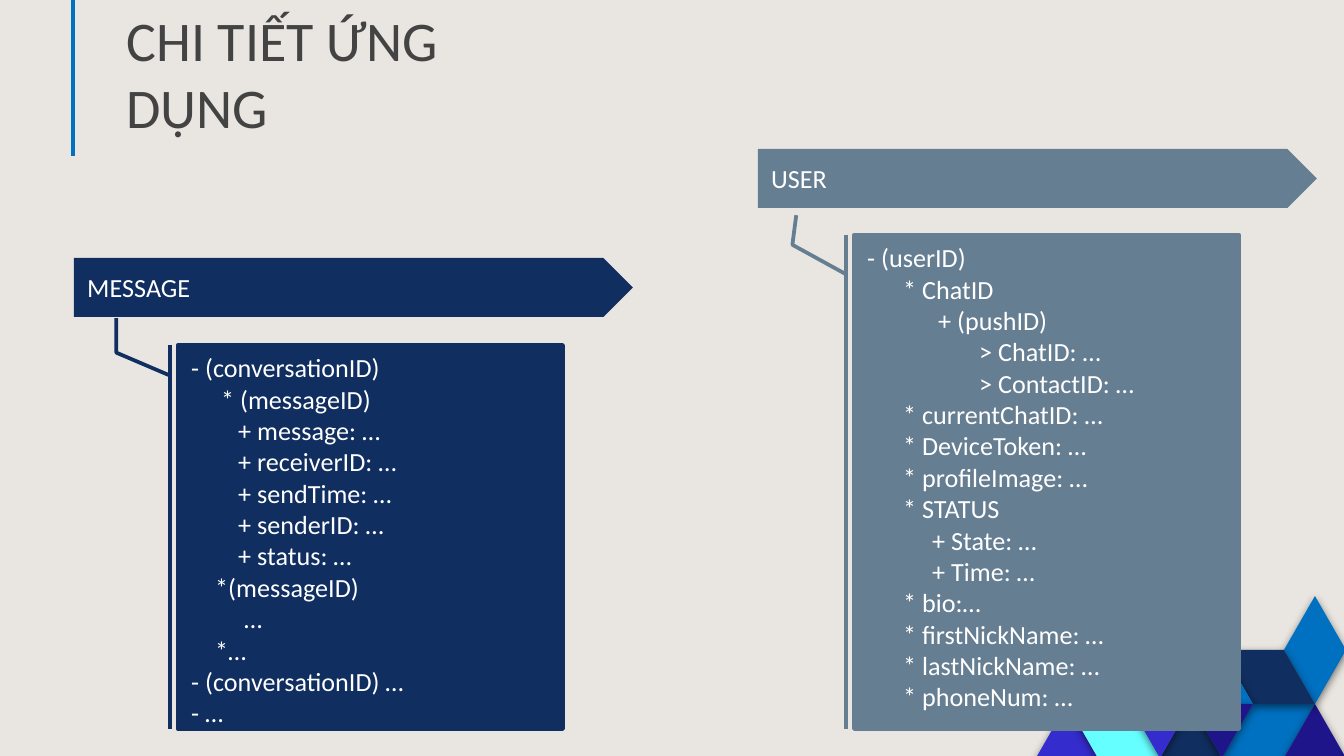
"""Build the application detail slide with its MESSAGE and USER data trees."""
from lxml import etree
from pptx import Presentation
from pptx import util as u
from pptx.dml import color
from pptx.enum import shapes, text
from pptx.oxml import ns

PX = 9144000 / 1344
FONT = "Calibri"
COLORS = {
    "paper": "E9E6E1", "title": "434343", "white": "FFFFFF", "shadow": "000000",
    "navy": "102E5F", "slate": "667E92", "blue": "0070C0",
    "violet": "352CCD", "aqua": "66FFFF", "indigo": "1F158A",
}
TITLE = "CHI TIẾT ỨNG DỤNG"

MESSAGE = [
    (0, "- (conversationID)"), (30, "* (messageID)"),
    (47, "+ message: …"), (47, "+ receiverID: …"), (47, "+ sendTime: …"),
    (47, "+ senderID: …"), (47, "+ status: …"),
    (24, "*(messageID)"), (53, "…"), (24, "*…"),
    (0, "- (conversationID) …"), (0, "- …"),
]
USER = [
    (0, "- (userID)"), (36, "* ChatID"), (71, "+ (pushID)"),
    (112, "> ChatID: …"), (112, "> ContactID: …"),
    (36, "* currentChatID: …"), (36, "* DeviceToken: …"),
    (36, "* profileImage: …"), (36, "* STATUS"),
    (65, "+ State: …"), (65, "+ Time: …"), (36, "* bio:…"),
    (36, "* firstNickName: …"), (36, "* lastNickName: …"), (36, "* phoneNum: …"),
]
PANELS = [
    ("MESSAGE", "navy", (74, 258), (178, 345, 385, 384),
     (0.08, -0.02, 0.02, -0.16, -0.07, -0.16), MESSAGE),
    ("USER", "slate", (758, 149), (854, 235, 385, 494),
     (0.08, -0.02, 0.02, -0.16, -0.04, -0.15), USER),
]
MOSAIC = [
    ("violet", [(0, 3), (1, 2), (2, 3)]),
    ("aqua", [(1, 2), (3, 2), (4, 3), (2, 3)]),
    ("blue", [(6, 3), (7, 2), (9, 2), (8, 3)]),
    ("indigo", [(8, 3), (9, 2), (10, 3)]),
    ("navy", [(4, 3), (5, 2), (6, 3)]),
    ("blue", [(8, 1), (9, 0), (10, 1), (9, 2)]),
    ("navy", [(6, 1), (8, 1), (9, 2), (7, 2)]),
    ("blue", [(5, 2), (6, 1), (7, 2)]),
    ("indigo", [(5, 2), (7, 2), (6, 3)]),
    ("violet", [(3, 2), (5, 2), (4, 3)]),
]


def px(*values):
    return [round(value * PX) for value in values]


def rgb(name):
    return color.RGBColor.from_string(COLORS[name])


def paint(shape, name):
    shape.shadow.inherit = False
    shape.fill.solid()
    shape.fill.fore_color.rgb = rgb(name)
    shape.line.fill.background()


def write(shape, lines, size, ink, anchor, inset):
    frame = shape.text_frame
    frame.word_wrap = True
    frame.auto_size = text.MSO_AUTO_SIZE.NONE
    frame.vertical_anchor = anchor
    frame.margin_left = frame.margin_right = u.Inches(0.1)
    frame.margin_top = frame.margin_bottom = u.Inches(inset)
    for index, (indent, words) in enumerate(lines):
        para = frame.add_paragraph() if index else frame.paragraphs[0]
        para.alignment = text.PP_ALIGN.LEFT
        para.line_spacing = 1.0
        para.space_before = u.Pt(0)
        para._p.get_or_add_pPr().set("marL", str(px(indent)[0]))
        span = para.add_run()
        span.text = words
        span.font.size = u.Pt(size)
        span.font.name = FONT
        span.font.color.rgb = rgb(ink)


def add_tile(page, name, corners):
    points = [(1036 + 31 * column, 596 + 54 * row) for column, row in corners]
    builder = page.shapes.build_freeform(*points[0], scale=PX)
    builder.add_line_segments(points[1:], close=True)
    tile = builder.convert_to_shape()
    paint(tile, name)
    effects = tile._element.spPr.find(ns.qn("a:effectLst"))
    shadow = etree.SubElement(effects, ns.qn("a:outerShdw"), blurRad=str(u.Pt(4.5)),
                              dist=str(u.Pt(1.5)), dir="5400000", rotWithShape="0")
    tint = etree.SubElement(shadow, ns.qn("a:srgbClr"), val=COLORS["shadow"])
    etree.SubElement(tint, ns.qn("a:alpha"), val="50000")


def add_panel(page, heading, name, corner, area, leader, lines):
    banner = page.shapes.add_shape(shapes.MSO_SHAPE.PENTAGON, *px(*corner, 559, 59))
    paint(banner, name)
    write(banner, [(0, heading)], 14, "white", text.MSO_ANCHOR.MIDDLE, 0.1)
    callout = page.shapes.add_shape(
        shapes.MSO_SHAPE.LINE_CALLOUT_2_BORDER_AND_ACCENT_BAR, *px(*area))
    paint(callout, name)
    callout.line.color.rgb = rgb(name)
    callout.line.width = u.Pt(2)
    for index, value in enumerate(leader):
        callout.adjustments[index] = value
    write(callout, lines, 14, "white", text.MSO_ANCHOR.TOP, 0.05)


def main():
    deck = Presentation()
    deck.slide_width, deck.slide_height = px(1344, 756)
    page = deck.slides.add_slide(deck.slide_layouts[0])
    page.background.fill.solid()
    page.background.fill.fore_color.rgb = rgb("paper")
    subtitle = page.placeholders[1]._element
    subtitle.getparent().remove(subtitle)

    rule = page.shapes.add_connector(shapes.MSO_CONNECTOR.STRAIGHT, *px(73, 0, 73, 156))
    rule.line.color.rgb = rgb("blue")
    rule.line.width = u.Pt(2.25)
    etree.SubElement(rule._element.spPr, ns.qn("a:effectLst"))
    for name, corners in MOSAIC:
        add_tile(page, name, corners)

    title = page.shapes.title
    title.left, title.top, title.width, title.height = px(113, 69, 489, 84)
    write(title, [(0, TITLE)], 30, "title", text.MSO_ANCHOR.BOTTOM, 0.1)
    for panel in PANELS:
        add_panel(page, *panel)
    deck.save("out.pptx")


if __name__ == "__main__":
    main()
